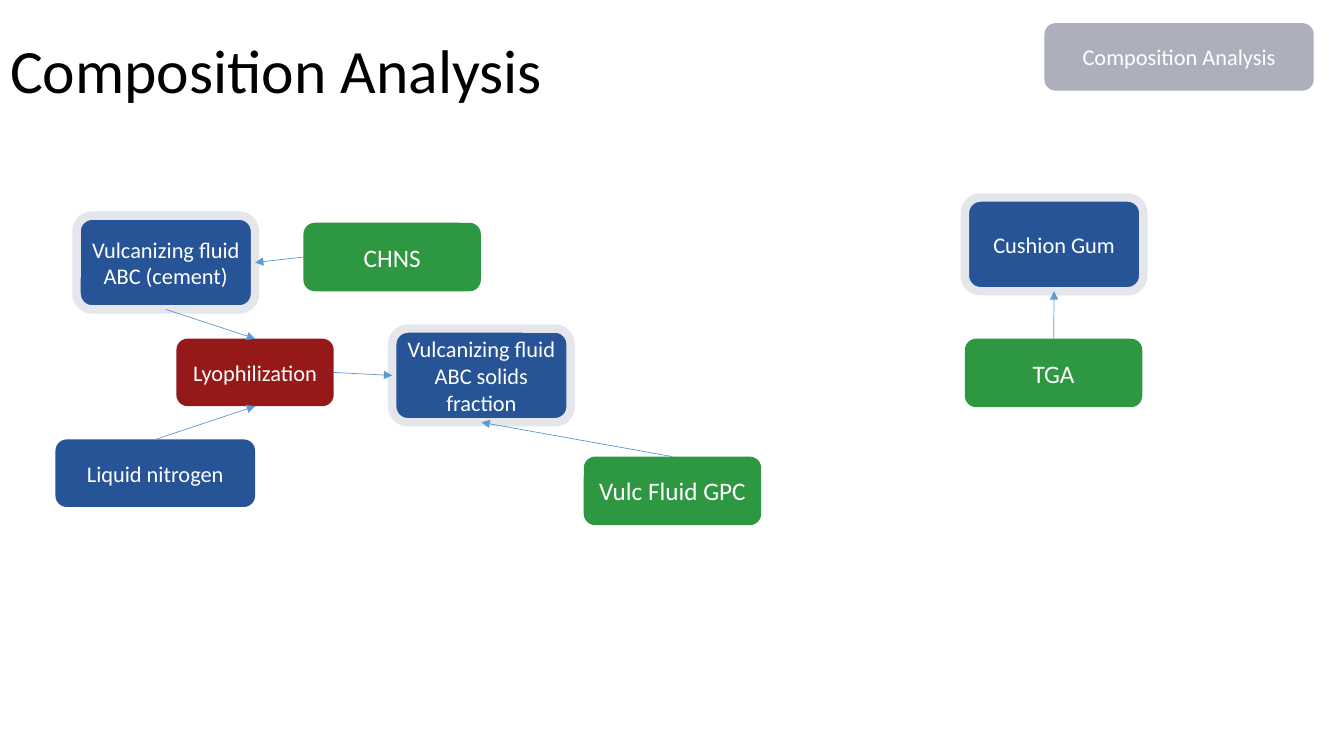
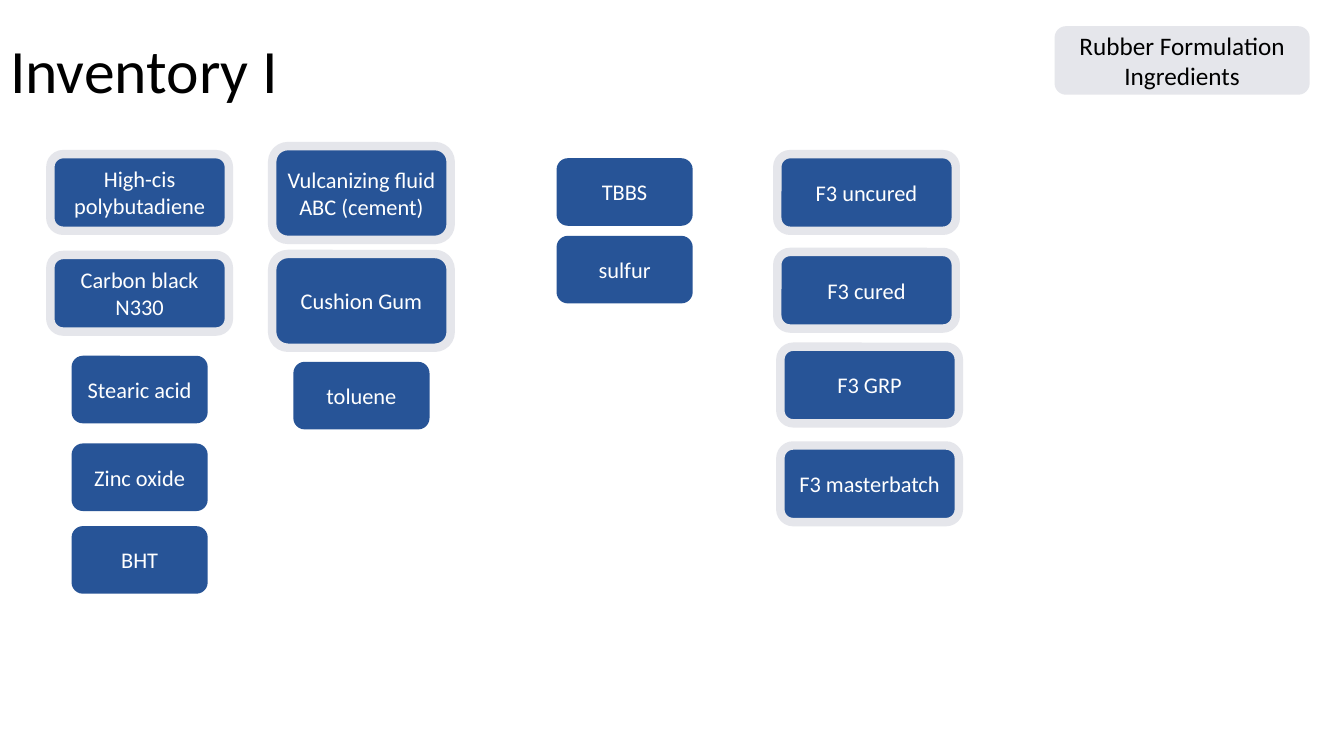
from dataclasses import dataclass
from typing import NamedTuple, Optional

from lxml.etree import SubElement
from pptx import Presentation
from pptx.dml.color import RGBColor
from pptx.enum.shapes import MSO_CONNECTOR, MSO_SHAPE
from pptx.enum.text import MSO_ANCHOR, MSO_AUTO_SIZE, PP_ALIGN
from pptx.oxml.ns import qn
from pptx.presentation import Presentation as Deck
from pptx.shapes.autoshape import Shape
from pptx.slide import Slide
from pptx.util import Inches, Pt


@dataclass(frozen=True)
class Theme:
    font: str = "Calibri"
    title_size: int = 44
    large_size: int = 18
    label_size: int = 16
    border_width: float = 6
    arrow_width: float = 0.5
    black: str = "000000"
    white: str = "FFFFFF"
    blue: str = "275497"
    red: str = "951919"
    green: str = "2D9742"
    gray: str = "ADAFBD"
    pale: str = "E5E6EB"
    arrow: str = "5B9BD5"


THEME = Theme()


class CardStyle(NamedTuple):
    width: float
    height: float
    fill: str = THEME.blue
    border: Optional[str] = None
    size: int = THEME.label_size
    color: str = THEME.white


class Card(NamedTuple):
    text: str
    left: float
    top: float
    style: CardStyle


class Site(NamedTuple):
    """A card and the number of its connection site."""
    card: str
    side: int


class Arrow(NamedTuple):
    start: Site
    end: Site


# Connection sites of a rounded rectangle
TOP, LEFT, BOTTOM, RIGHT = range(4)

# Card styles
PRODUCT = CardStyle(1.77, 0.93, border=THEME.pale)
MATERIAL = CardStyle(1.77, 0.76, border=THEME.pale)
CHEMICAL = CardStyle(1.35, 0.67)
SUPPLY = CardStyle(1.98, 0.67)
PROCESS = CardStyle(1.56, 0.67, fill=THEME.red)
TEST = CardStyle(1.76, 0.68, fill=THEME.green, size=THEME.large_size)
ANALYSIS_TAG = CardStyle(2.67, 0.67, fill=THEME.gray)
INGREDIENTS_TAG = CardStyle(2.53, 0.68, fill=THEME.pale,
                            size=THEME.large_size, color=THEME.black)

# Composition analysis: cards and the arrows between them
FLUID = "Vulcanizing fluid ABC"
CEMENT = f"{FLUID} (cement)"
SOLIDS = f"{FLUID} solids fraction"
GUM = "Cushion Gum"
ANALYSIS_CARDS = [
    Card(CEMENT, 0.76, 2.14, PRODUCT),
    Card("Lyophilization", 1.75, 3.36, PROCESS),
    Card("Liquid nitrogen", 0.55, 4.36, SUPPLY),
    Card(SOLIDS, 3.89, 3.26, PRODUCT),
    Card("Vulc Fluid GPC", 5.79, 4.53, TEST),
    Card("CHNS", 3.01, 2.21, TEST),
    Card(GUM, 9.57, 1.96, PRODUCT),
    Card("TGA", 9.57, 3.36, TEST),
    Card("Composition Analysis", 10.36, 0.23, ANALYSIS_TAG),
]
ANALYSIS_ARROWS = [
    Arrow(Site("Liquid nitrogen", TOP), Site("Lyophilization", BOTTOM)),
    Arrow(Site(CEMENT, BOTTOM), Site("Lyophilization", TOP)),
    Arrow(Site("Lyophilization", RIGHT), Site(SOLIDS, LEFT)),
    Arrow(Site("Vulc Fluid GPC", TOP), Site(SOLIDS, BOTTOM)),
    Arrow(Site("CHNS", LEFT), Site(CEMENT, RIGHT)),
    Arrow(Site("TGA", TOP), Site(GUM, BOTTOM)),
]

# Inventory: cards by column
INVENTORY_CARDS = [
    Card("High-cis polybutadiene", 0.5, 1.53, MATERIAL),
    Card("Carbon black N330", 0.5, 2.53, MATERIAL),
    Card("Stearic acid", 0.71, 3.53, CHEMICAL),
    Card("Zinc oxide", 0.71, 4.4, CHEMICAL),
    Card("BHT", 0.71, 5.22, CHEMICAL),
    Card(CEMENT, 2.7, 1.45, PRODUCT),
    Card(GUM, 2.7, 2.52, PRODUCT),
    Card("toluene", 2.91, 3.59, CHEMICAL),
    Card("TBBS", 5.52, 1.57, CHEMICAL),
    Card("sulfur", 5.52, 2.34, CHEMICAL),
    Card("F3 uncured", 7.71, 1.53, MATERIAL),
    Card("F3 cured", 7.71, 2.5, MATERIAL),
    Card("F3 GRP", 7.74, 3.44, MATERIAL),
    Card("F3 masterbatch", 7.74, 4.42, MATERIAL),
    Card("Rubber Formulation Ingredients", 10.46, 0.26, INGREDIENTS_TAG),
]


def write_text(box: Shape, text: str, size: int, color: str,
               alignment: PP_ALIGN) -> None:
    frame = box.text_frame
    frame.text = text
    frame.word_wrap = True
    frame.auto_size = MSO_AUTO_SIZE.NONE
    frame.vertical_anchor = MSO_ANCHOR.MIDDLE
    para = frame.paragraphs[0]
    para.alignment = alignment
    para.font.name = THEME.font
    para.font.size = Pt(size)
    para.font.color.rgb = RGBColor.from_string(color)


def add_page(deck: Deck, title_text: str) -> Slide:
    page = deck.slides.add_slide(deck.slide_layouts.get_by_name("Title Only"))
    title = page.shapes.title
    title.left, title.top = Inches(0), Inches(0)
    title.width, title.height = Inches(11.5), Inches(1.45)
    write_text(title, title_text, THEME.title_size, THEME.black, PP_ALIGN.LEFT)
    title.text_frame.paragraphs[0].line_spacing = 0.9
    return page


def add_card(page: Slide, card: Card) -> Shape:
    style = card.style
    box = page.shapes.add_shape(
        MSO_SHAPE.ROUNDED_RECTANGLE, Inches(card.left), Inches(card.top),
        Inches(style.width), Inches(style.height))
    box.shadow.inherit = False
    box.fill.solid()
    box.fill.fore_color.rgb = RGBColor.from_string(style.fill)
    if style.border:
        box.line.color.rgb = RGBColor.from_string(style.border)
        box.line.width = Pt(THEME.border_width)
    else:
        box.line.fill.background()
    write_text(box, card.text, style.size, style.color, PP_ALIGN.CENTER)
    return box


def add_arrow(page: Slide, boxes: dict[str, Shape], arrow: Arrow) -> None:
    connector = page.shapes.add_connector(MSO_CONNECTOR.STRAIGHT, 0, 0, 0, 0)
    connector.begin_connect(boxes[arrow.start.card], arrow.start.side)
    connector.end_connect(boxes[arrow.end.card], arrow.end.side)
    connector.line.color.rgb = RGBColor.from_string(THEME.arrow)
    connector.line.width = Pt(THEME.arrow_width)
    # Arrowhead and no shadow
    properties = connector.element.spPr
    SubElement(properties.find(qn("a:ln")), qn("a:tailEnd"), type="triangle")
    SubElement(properties, qn("a:effectLst"))


def draw_page(deck: Deck, title: str, cards: list[Card],
              arrows: list[Arrow]) -> None:
    page = add_page(deck, title)
    boxes = {card.text: add_card(page, card) for card in cards}
    for arrow in arrows:
        add_arrow(page, boxes, arrow)


def main() -> None:
    deck = Presentation()
    deck.slide_width, deck.slide_height = Inches(13.33), Inches(7.5)
    draw_page(deck, "Composition Analysis", ANALYSIS_CARDS, ANALYSIS_ARROWS)
    draw_page(deck, "Inventory I", INVENTORY_CARDS, [])
    deck.save("out.pptx")


main()
